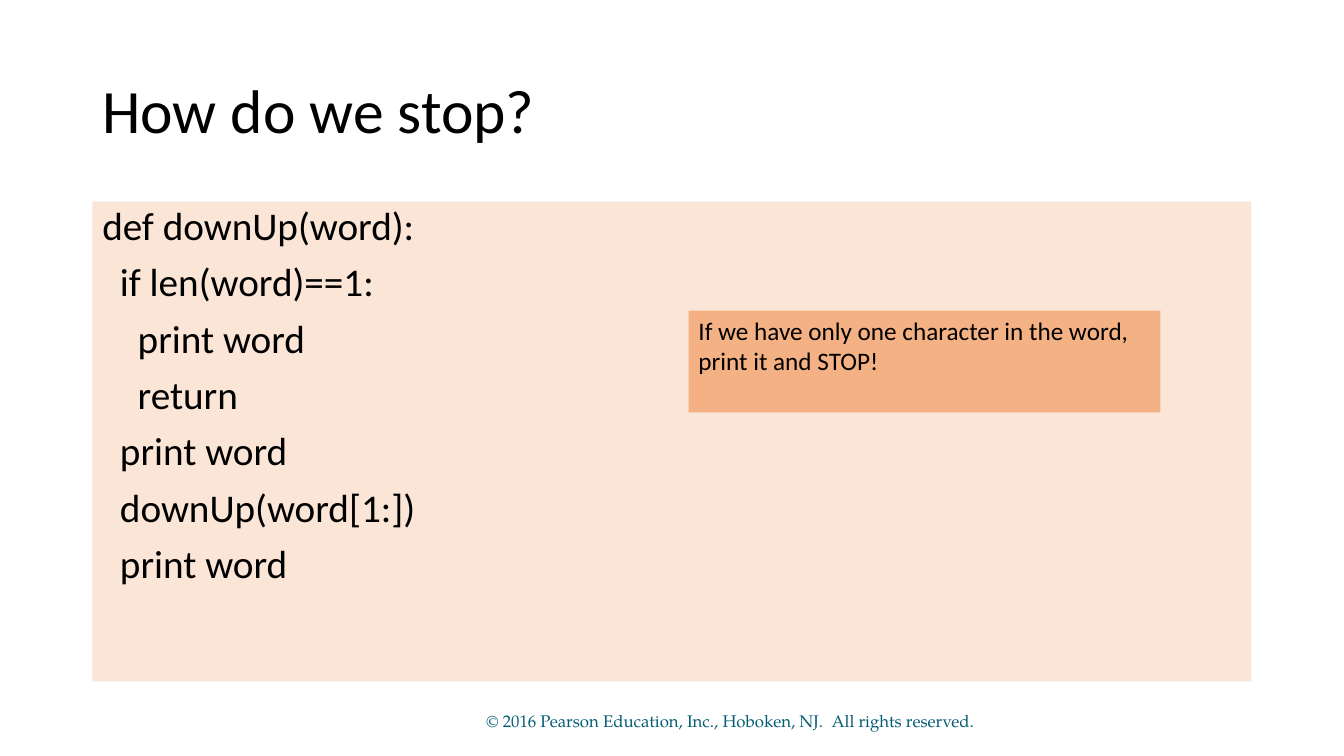
"""Build the slide that shows how a recursive function stops."""
from dataclasses import dataclass

from pptx import Presentation
from pptx.dml.color import RGBColor
from pptx.enum.text import MSO_ANCHOR, PP_ALIGN
from pptx.util import Pt


@dataclass(frozen=True)
class Theme:
    """Colours, fonts and type sizes of the slide."""
    ink: str = "000000"
    panel: str = "FBE5D6"
    callout: str = "F4B183"
    notice: str = "045C75"
    body_font: str = "Calibri"
    notice_font: str = "TeX Gyre Pagella"
    title_size: int = 44
    code_size: int = 28
    callout_size: int = 18
    notice_size: int = 12


THEME = Theme()

CODE = """def downUp(word):
  if len(word)==1:
    print word
    return
  print word
  downUp(word[1:])
  print word"""


def apply(target, formats):
    """Set each attribute of the target from a dict of format values."""
    for name, value in formats.items():
        setattr(target, name, value)


def add_box(page, frame, anchor=MSO_ANCHOR.TOP, fill=None):
    """Add a wrapping text box, filled if a colour is given."""
    box = page.shapes.add_textbox(*(Pt(length) for length in frame))
    apply(box.text_frame, {"word_wrap": True, "vertical_anchor": anchor})
    if fill:
        box.fill.solid()
        box.fill.fore_color.rgb = RGBColor.from_string(fill)
    return box


def write_lines(box, lines, size, color=THEME.ink, font=THEME.body_font,
                gap=0, **layout):
    """Write one paragraph per line, with a gap before all but the first."""
    for index, line in enumerate(lines):
        text_frame = box.text_frame
        para = text_frame.add_paragraph() if index else text_frame.paragraphs[0]
        para.text = line
        apply(para, {"space_before": Pt(gap if index else 0), **layout})
        for span in para.runs:
            apply(span.font, {"name": font, "size": Pt(size)})
            span.font.color.rgb = RGBColor.from_string(color)


def add_title(page, text):
    """Add the slide title."""
    box = add_box(page, (66, 28.8, 828, 104.4), MSO_ANCHOR.MIDDLE)
    write_lines(box, [text], THEME.title_size, line_spacing=0.9)


def add_code(page, code):
    """Add the code listing on its panel."""
    box = add_box(page, (66, 144, 828, 342.7), fill=THEME.panel)
    write_lines(box, code.splitlines(), THEME.code_size, gap=10, line_spacing=0.9)


def add_callout(page, text):
    """Add the remark beside the code."""
    box = add_box(page, (491.8, 221.8, 337, 72.7), fill=THEME.callout)
    write_lines(box, [text], THEME.callout_size)


def add_notice(page, text):
    """Add the centred copyright line."""
    box = add_box(page, (329.8, 500.4, 383.8, 28.8), MSO_ANCHOR.MIDDLE)
    write_lines(box, [text], THEME.notice_size, THEME.notice,
                THEME.notice_font, alignment=PP_ALIGN.CENTER)


def main():
    """Build and save the deck."""
    deck = Presentation()
    apply(deck, {"slide_width": Pt(960), "slide_height": Pt(540)})
    page = deck.slides.add_slide(deck.slide_layouts[6])
    add_title(page, "How do we stop?")
    add_code(page, CODE)
    add_callout(page, "If we have only one character in the word,\vprint it and STOP!")
    add_notice(page, "© 2016 Pearson Education, Inc., Hoboken, NJ.  All rights reserved.")
    deck.save("out.pptx")


if __name__ == "__main__":
    main()
